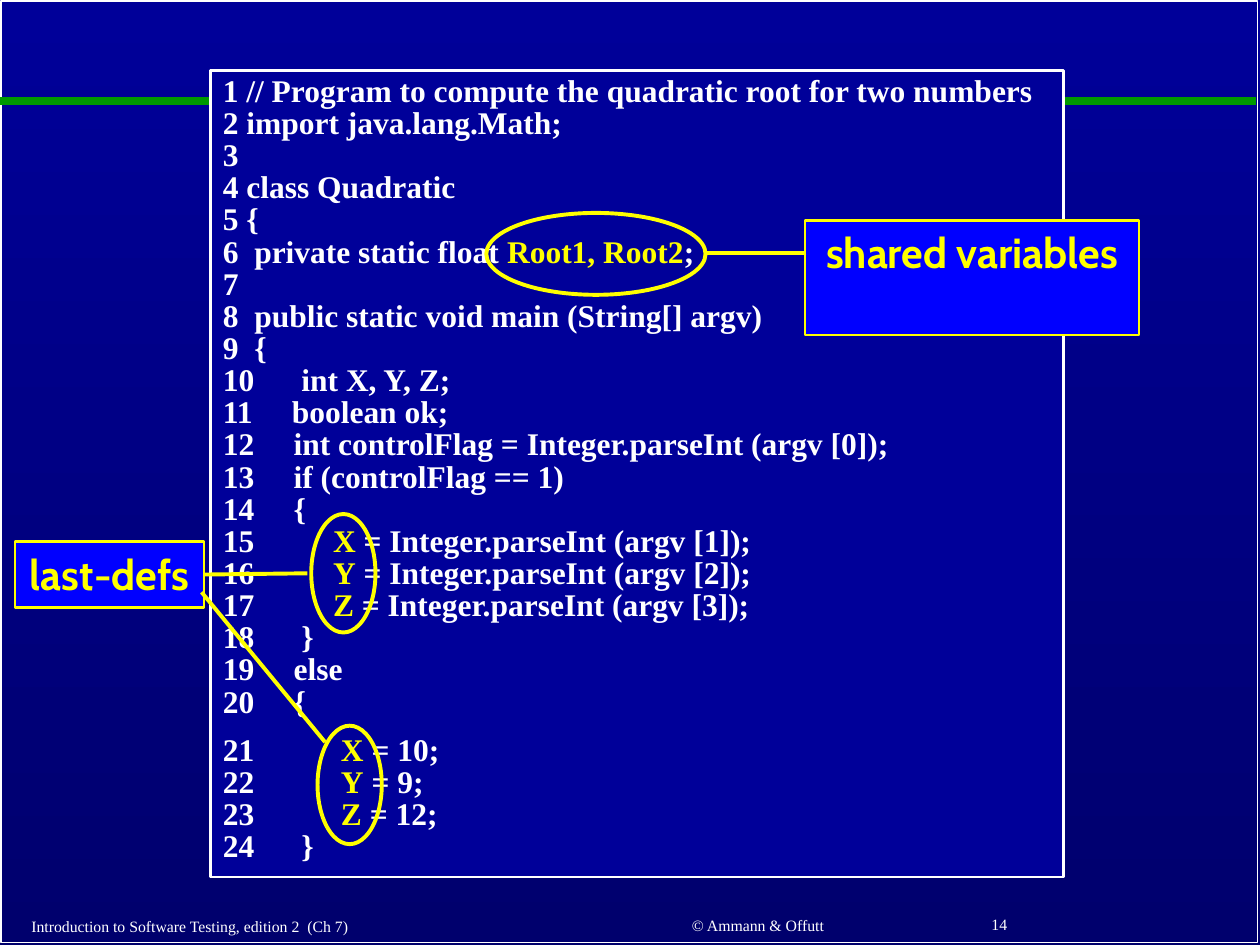
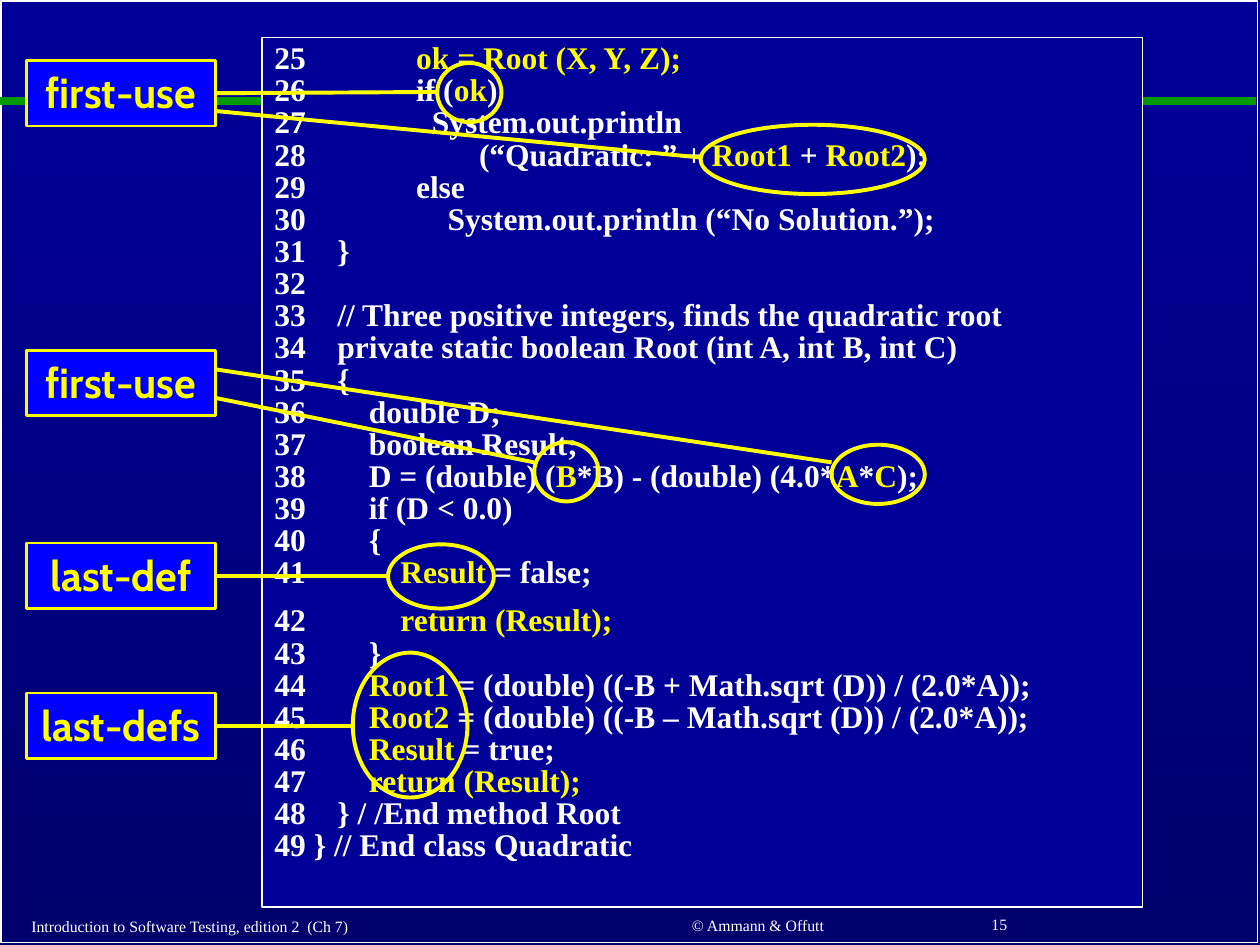
from dataclasses import dataclass
from typing import NamedTuple, Optional

from lxml import etree
from pptx import Presentation
from pptx import util as u
from pptx.dml.color import RGBColor
from pptx.enum import shapes, text
from pptx.oxml.ns import qn

WIDTH, HEIGHT = u.Inches(10), u.Inches(7.5)
COLUMNS, ROWS = 100, 75

WHITE, YELLOW, GREEN = "FFFFFF", "FFFF00", "009900"
NAVY, DEEP_NAVY, BLUE = "000099", "00006D", "0000FF"
SERIF, SANS = "Times New Roman", "Cabin"
MARK = "|"


class Point(NamedTuple):
    column: float
    row: float


class Area(NamedTuple):
    column: float
    row: float
    columns: float
    rows: float


@dataclass(frozen=True)
class Link:
    end: Point
    start: Optional[Point] = None


@dataclass(frozen=True)
class Callout:
    label: str
    area: Area
    ovals: list[Area]
    links: list[Link]


@dataclass(frozen=True)
class Listing:
    area: Area
    border: float
    first_line: int
    blocks: list[list[str]]


@dataclass(frozen=True)
class CodePage:
    number: int
    listing: Listing
    callouts: list[Callout]


@dataclass(frozen=True)
class FooterItem:
    area: Area
    align: text.PP_ALIGN


BOOK = FooterItem(Area(1.5, 72.2, 41.1, 2.6), text.PP_ALIGN.LEFT)
AUTHORS = FooterItem(Area(44.3, 72.1, 31.7, 2.6), text.PP_ALIGN.CENTER)
NUMBER = FooterItem(Area(77.7, 72, 20.8, 2.7), text.PP_ALIGN.LEFT)


def side_label(row: float) -> Area:
    return Area(2.1, row, 15, 5.2)


PAGES = [
    CodePage(
        14,
        Listing(Area(16.7, 5.6, 67.7, 64), 1.5, 1, [
            [
                " // Program to compute the quadratic root for two numbers",
                " import java.lang.Math;",
                "",
                " class Quadratic",
                " {",
                "  private static float |Root1, Root2|;",
                "",
                "  public static void main (String[] argv)",
                "  {",
                "      int X, Y, Z;",
                "     boolean ok;",
                "     int controlFlag = Integer.parseInt (argv [0]);",
                "     if (controlFlag == 1)",
                "     {",
                "          |X| = Integer.parseInt (argv [1]);",
                "          |Y| = Integer.parseInt (argv [2]);",
                "          |Z| = Integer.parseInt (argv [3]);",
                "      }",
                "     else",
                "     {",
            ],
            [
                "           |X| = 10;",
                "           |Y| = 9;",
                "           |Z| = 12;",
                "      }",
            ],
        ]),
        [
            Callout("last-defs", Area(1.2, 43, 15, 5.2),
                    [Area(24.7, 40.8, 5.1, 9.4), Area(25.2, 57.6, 5.1, 9.4)],
                    [Link(Point(24.4, 45.5)),
                     Link(Point(25.8, 58.9), Point(16, 47))]),
            Callout("shared variables", Area(63.9, 17.5, 26.5, 9.1),
                    [Area(38.6, 16.9, 17.4, 6.5)],
                    [Link(Point(55.9, 20.1), Point(64, 20.1))]),
        ],
    ),
    CodePage(
        15,
        Listing(Area(20.8, 3, 69.9, 69), 0.75, 25, [
            [
                "              |ok = Root (X, Y, Z);",
                "              if (|ok|)",
                "                System.out.println",
                "                      (“Quadratic: ” + |Root1| + |Root2|);",
                "              else",
                "                  System.out.println (“No Solution.”);",
                "    }",
                "",
                "    // Three positive integers, finds the quadratic root",
                "    private static boolean Root (int A, int B, int C)",
                "    {",
                "        double D;",
                "        boolean Result;",
                "        D = (double) (|B|*B) - (double) (4.0*|A|*|C|);",
                "        if (D < 0.0)",
                "        {",
                "            |Result| = false;",
            ],
            [
                "            |return (Result);",
                "        }",
                "        |Root1| = (double) ((-B + Math.sqrt (D)) / (2.0*A));",
                "        |Root2| = (double) ((-B – Math.sqrt (D)) / (2.0*A));",
                "        |Result| = true;",
                "        |return (Result);",
                "    } / /End method Root",
                " } // End class Quadratic",
            ],
        ]),
        [
            Callout("last-def", side_label(43.1),
                    [Area(30.8, 43.2, 8.4, 5.1)],
                    [Link(Point(30.7, 45.7))]),
            Callout("first-use", side_label(4.8),
                    [Area(34.7, 5, 5.1, 4.7), Area(55.6, 9.9, 17.8, 5.5)],
                    [Link(Point(34.6, 7.3)),
                     Link(Point(55.6, 12.5), Point(17, 8.8))]),
            Callout("first-use", side_label(27.8),
                    [Area(66, 35.3, 7.4, 4.7), Area(42.4, 35.1, 5.1, 4.7)],
                    [Link(Point(42.4, 36.7), Point(17.2, 31.6)),
                     Link(Point(66, 36.7), Point(17, 29.3))]),
            Callout("last-defs", side_label(55),
                    [Area(28, 51.8, 9.1, 11.5)],
                    [Link(Point(27.9, 57.6))]),
        ],
    ),
]


def color(code: str) -> RGBColor:
    return RGBColor.from_string(code)


def across(columns: float) -> int:
    return round(WIDTH * columns / COLUMNS)


def down(rows: float) -> int:
    return round(HEIGHT * rows / ROWS)


def place(area: Area) -> tuple[int, int, int, int]:
    return across(area.column), down(area.row), across(area.columns), down(area.rows)


def set_font(font, face: str, size: float, bold: bool, code: str) -> None:
    font.name = face
    font.size = u.Pt(size)
    font.bold = bold
    font.color.rgb = color(code)


def draw_shape(page, kind, area: Area, line: str, weight: float,
               fill: Optional[str] = None):
    shape = page.shapes.add_shape(kind, *place(area))
    shape.shadow.inherit = False
    shape.line.color.rgb = color(line)
    shape.line.width = u.Pt(weight)
    if fill:
        shape.fill.solid()
        shape.fill.fore_color.rgb = color(fill)
    else:
        shape.fill.background()
    return shape


def draw_line(page, start: Point, end: Point, code: str, weight: float):
    line = page.shapes.add_connector(
        shapes.MSO_CONNECTOR.STRAIGHT,
        across(start.column), down(start.row), across(end.column), down(end.row))
    line.line.color.rgb = color(code)
    line.line.width = u.Pt(weight)
    etree.SubElement(line._element.spPr, qn("a:effectLst"))
    return line


def draw_footer(page, item: FooterItem, words: str) -> None:
    box = page.shapes.add_textbox(*place(item.area))
    frame = box.text_frame
    frame.word_wrap = False
    frame.vertical_anchor = text.MSO_ANCHOR.MIDDLE
    para = frame.paragraphs[0]
    para.text = words
    para.alignment = item.align
    set_font(para.font, SERIF, 9, False, WHITE)


def draw_listing(page, listing: Listing) -> None:
    box = draw_shape(page, shapes.MSO_SHAPE.RECTANGLE, listing.area, WHITE,
                     listing.border, NAVY)
    frame = box.text_frame
    frame.word_wrap = True
    frame.vertical_anchor = text.MSO_ANCHOR.TOP
    number = listing.first_line
    for block_index, block in enumerate(listing.blocks):
        para = frame.add_paragraph() if block_index else frame.paragraphs[0]
        para.alignment = text.PP_ALIGN.LEFT
        para.line_spacing = 0.85
        para.space_before = u.Pt(9 if block_index else 0)
        set_font(para.font, SERIF, 18, True, WHITE)
        for line_index, line in enumerate(block):
            if line_index:
                para.add_line_break()
            for piece_index, piece in enumerate(f"{number}{line}".split(MARK)):
                if piece:
                    span = para.add_run()
                    span.text = piece
                    span.font.color.rgb = color(YELLOW if piece_index % 2 else WHITE)
            number += 1


def draw_callout(page, callout: Callout) -> None:
    label = draw_shape(page, shapes.MSO_SHAPE.RECTANGLE, callout.area, YELLOW, 1.5, BLUE)
    frame = label.text_frame
    frame.word_wrap = False
    frame.vertical_anchor = text.MSO_ANCHOR.TOP
    para = frame.paragraphs[0]
    para.text = callout.label
    para.alignment = text.PP_ALIGN.CENTER
    set_font(para.font, SANS, 24, True, YELLOW)
    for oval in callout.ovals:
        draw_shape(page, shapes.MSO_SHAPE.OVAL, oval, YELLOW, 2.25)
    for link in callout.links:
        line = draw_line(page, link.start or link.end, link.end, YELLOW, 2.25)
        if link.start is None:
            line.begin_connect(label, 3)


def draw_page(deck, content: CodePage) -> None:
    page = deck.slides.add_slide(deck.slide_layouts[6])
    draw_shape(page, shapes.MSO_SHAPE.RECTANGLE, Area(0.1, 0.1, 99.7, 74.7), WHITE, 1)
    draw_line(page, Point(0, 8), Point(99.7, 8), GREEN, 4.5)
    draw_footer(page, BOOK, "Introduction to Software Testing, edition 2  (Ch 7)")
    draw_footer(page, AUTHORS, "© Ammann & Offutt")
    draw_footer(page, NUMBER, str(content.number))
    draw_listing(page, content.listing)
    for callout in content.callouts:
        draw_callout(page, callout)


def paint_background(deck) -> None:
    fill = deck.slide_master.background.fill
    fill.gradient()
    fill.gradient_angle = 270
    for stop, code in zip(fill.gradient_stops, (NAVY, DEEP_NAVY)):
        stop.color.rgb = color(code)


def main() -> None:
    deck = Presentation()
    deck.slide_width, deck.slide_height = WIDTH, HEIGHT
    paint_background(deck)
    for content in PAGES:
        draw_page(deck, content)
    deck.save("out.pptx")


if __name__ == "__main__":
    main()
